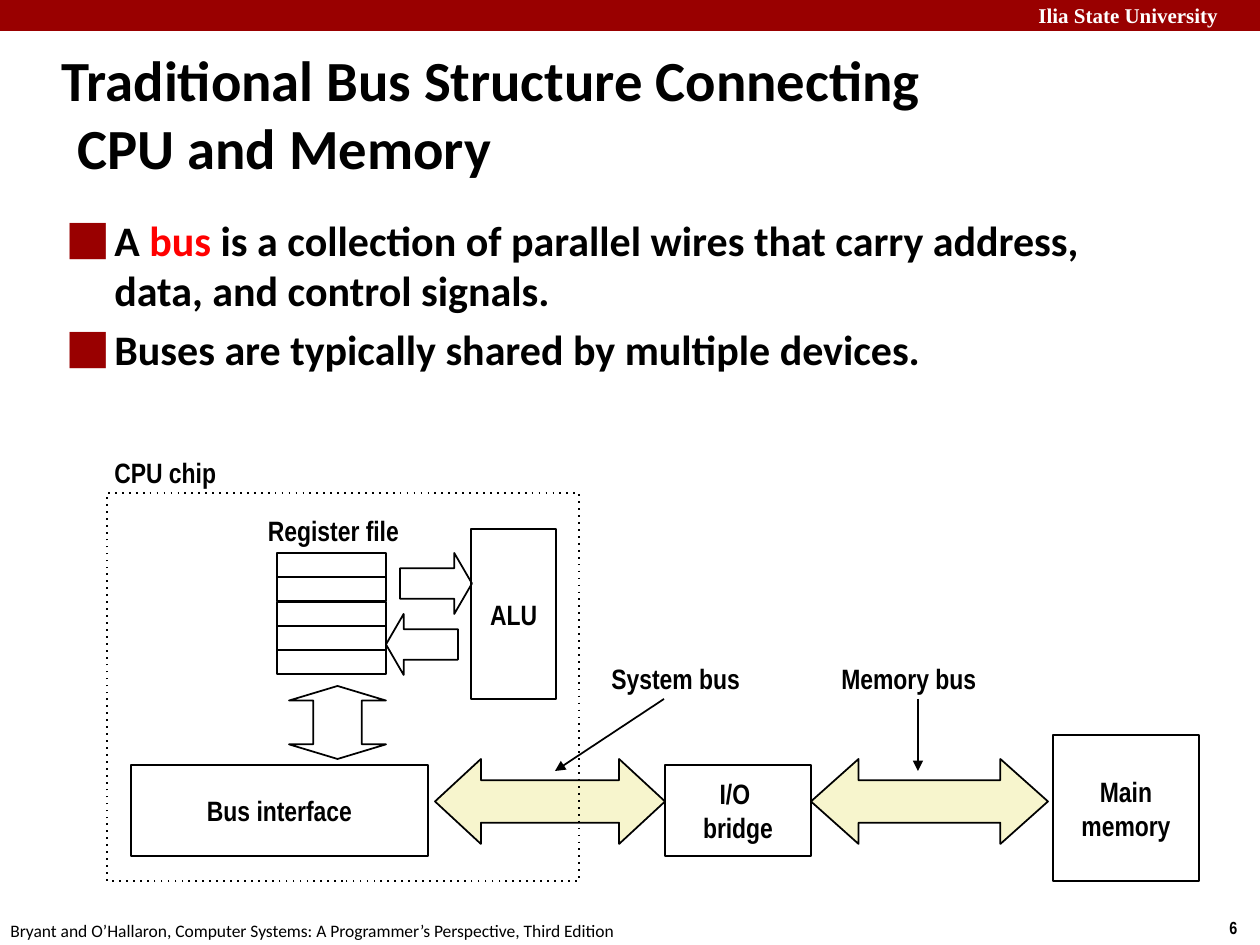
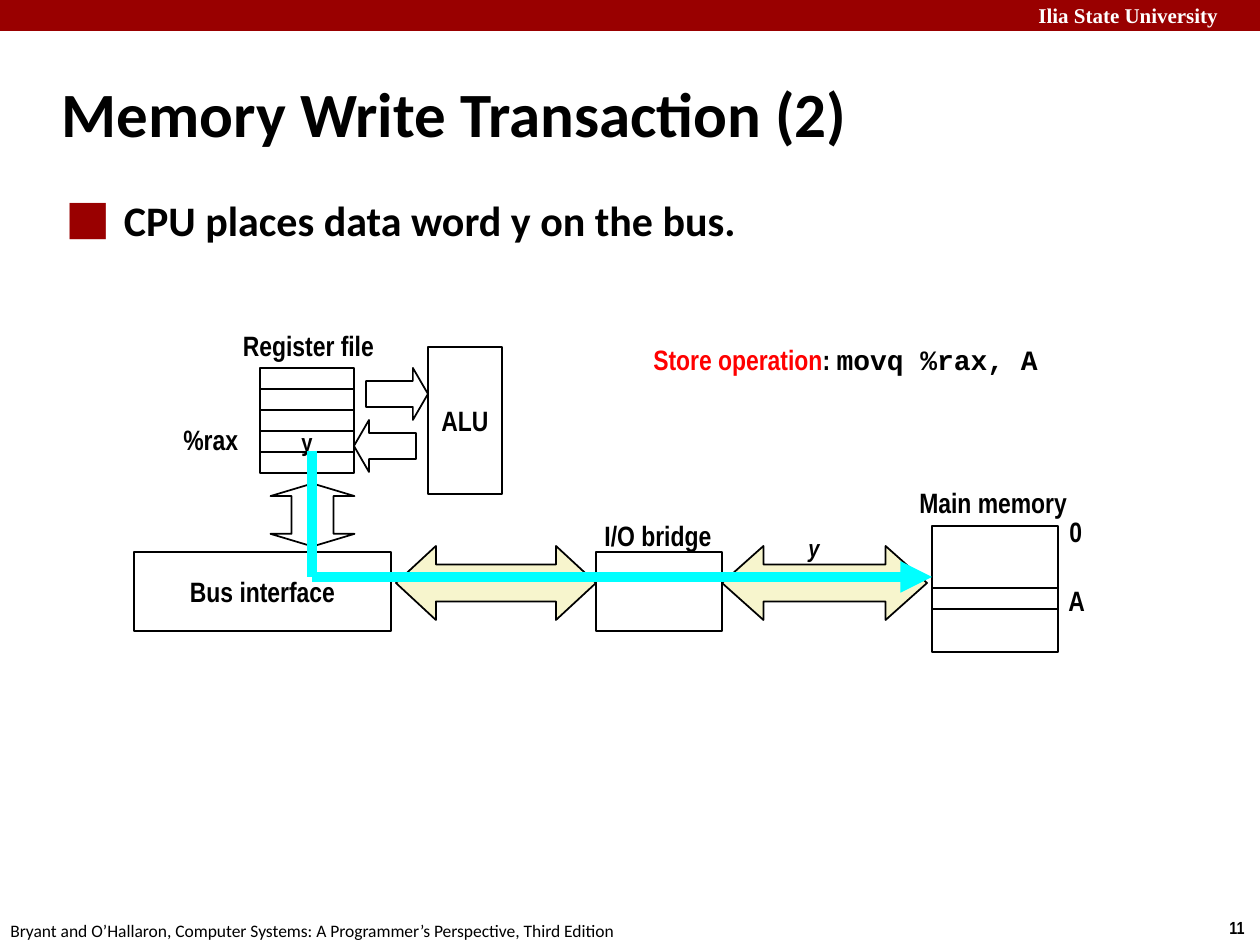
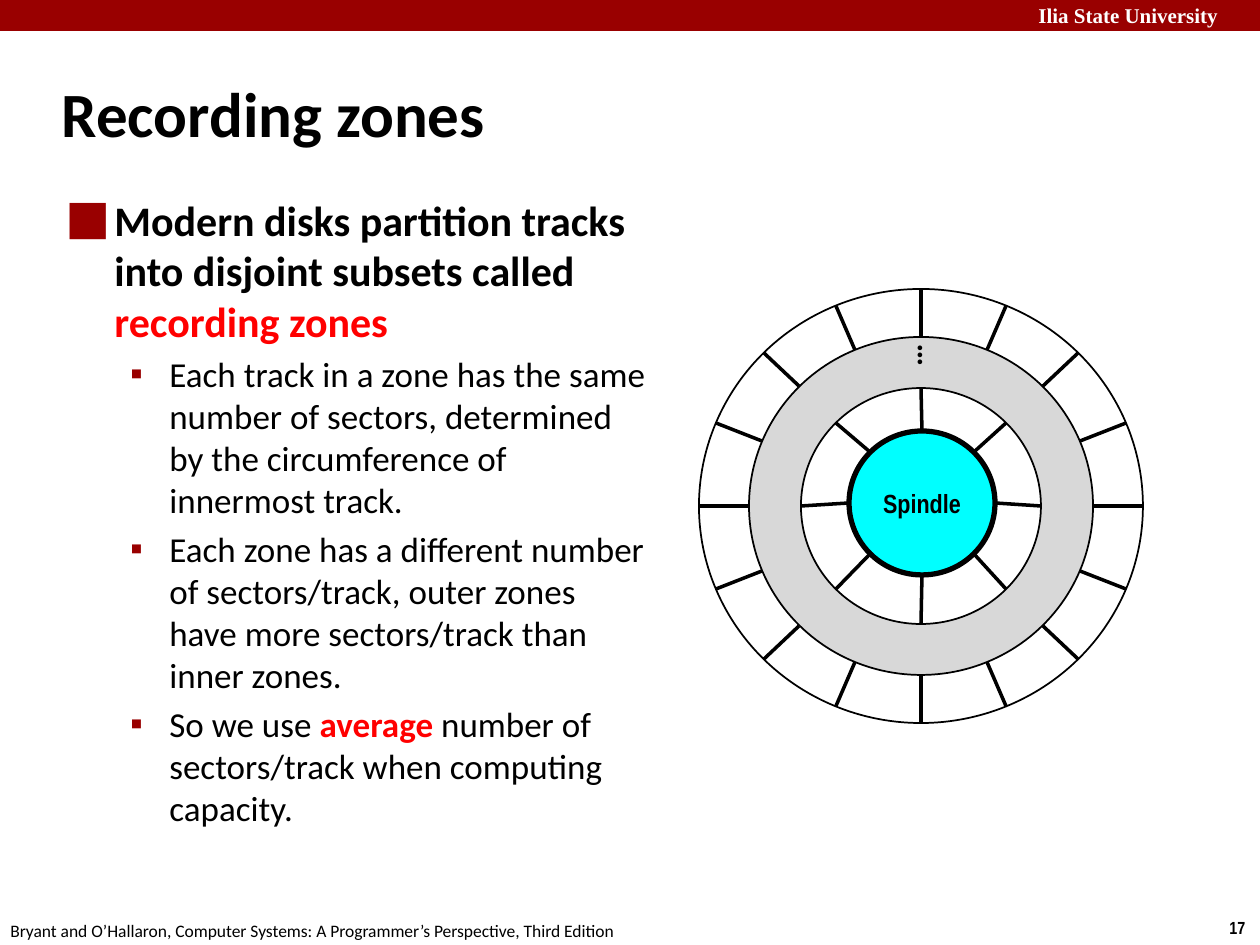
from math import cos, pi, sin

from lxml.etree import SubElement
from pptx import Presentation
from pptx.dml.color import RGBColor
from pptx.enum.shapes import MSO_CONNECTOR, MSO_SHAPE
from pptx.enum.text import MSO_ANCHOR, PP_ALIGN
from pptx.oxml.ns import qn
from pptx.util import Emu, Pt

# Shared style
PX = 914400 / 126
BLACK, WHITE, RED = "000000", "FFFFFF", "FF0000"
MAROON, CREAM, CYAN, GREY = "990000", "F7F5CD", "00FFFF", "D8D8D8"
BODY_FACE, LABEL_FACE, CODE_FACE = "Calibri", "Arial Narrow", "Courier New"
BAND_FACE = "Times New Roman"
BAND_TEXT = "Ilia State University"
FOOTER = ("Bryant and O’Hallaron, Computer Systems: "
          "A Programmer’s Perspective, Third Edition")
# Bullet levels: left margin, hanging indent, size, bold, character
LEVELS = [(47, 47, 24, True, "⬛"), (102, 39, 20, False, "▪")]


def px(value):
    return Emu(round(value * PX))


def rgb(value):
    return RGBColor.from_string(value)


class SlideWriter:
    """Holds the deck's style and the page being drawn."""

    def __init__(self):
        self.deck = Presentation()
        self.deck.slide_width, self.deck.slide_height = px(1260), px(945)
        self.page = None

    def font(self, span, size=16, face=LABEL_FACE, color=BLACK, bold=True, italic=False):
        span.font.size, span.font.name = Pt(size), face
        span.font.bold, span.font.italic = bold, italic
        span.font.color.rgb = rgb(color)

    def fill_text(self, frame, text, align=PP_ALIGN.CENTER, wrap=False,
                  anchor=MSO_ANCHOR.MIDDLE, **style):
        frame.text = text
        frame.word_wrap, frame.vertical_anchor = wrap, anchor
        for para in frame.paragraphs:
            para.alignment = align
            for span in para.runs:
                self.font(span, **style)

    def indent(self, para, margin, hanging):
        properties = para._p.get_or_add_pPr()
        properties.set("marL", str(px(margin)))
        properties.set("indent", str(-px(hanging)))
        return properties

    def new_page(self, title, number, size=36):
        self.page = self.deck.slides.add_slide(self.deck.slide_layouts[5])
        # Band and footer
        band = self.shape(MSO_SHAPE.RECTANGLE, 0, 0, 1260, 31, MAROON)
        band.line.fill.background()
        top = MSO_ANCHOR.TOP
        self.label(BAND_TEXT, 1026, -4, 243, 38, anchor=top,
                   size=12, face=BAND_FACE, color=WHITE)
        self.label(str(number), 1217, 911, 43, 34, anchor=top, size=10)
        self.label(FOOTER, -2, 914, 640, 34, anchor=top,
                   size=10, face=BODY_FACE, bold=False)
        # Title
        box = self.page.shapes.title
        box.left, box.top, box.width, box.height = map(px, (49, 60, 1211, 105))
        self.fill_text(box.text_frame, title, PP_ALIGN.LEFT, True,
                       size=size, face=BODY_FACE)
        self.indent(box.text_frame.paragraphs[0], 16, 16)

    def shape(self, kind, left, top, width, height, fill=None, weight=1, text="",
              adjust=(), **style):
        box = self.page.shapes.add_shape(kind, *map(px, (left, top, width, height)))
        box.shadow.inherit = False
        if fill:
            box.fill.solid()
            box.fill.fore_color.rgb = rgb(fill)
        else:
            box.fill.background()
        box.line.color.rgb, box.line.width = rgb(BLACK), Pt(weight)
        for index, value in enumerate(adjust):
            box.adjustments[index] = value
        if text:
            self.fill_text(box.text_frame, text, **style)
        return box

    def ellipse(self, ring, fill=None, **options):
        x, y, across, down = ring
        return self.shape(MSO_SHAPE.OVAL, x - across, y - down,
                          2 * across, 2 * down, fill, **options)

    def label(self, text, left, top, width, height=47, align=PP_ALIGN.LEFT, **style):
        box = self.page.shapes.add_textbox(*map(px, (left, top, width, height)))
        self.fill_text(box.text_frame, text, align, **style)
        return box

    def line(self, x1, y1, x2, y2, color=BLACK, weight=1, arrow=False):
        connector = self.page.shapes.add_connector(
            MSO_CONNECTOR.STRAIGHT, *map(px, (x1, y1, x2, y2)))
        connector.line.color.rgb = rgb(color)
        connector.line.width = Pt(weight)
        properties = connector.element.spPr
        if arrow:
            SubElement(properties.find(qn("a:ln")), qn("a:tailEnd"), type="triangle")
        SubElement(properties, qn("a:effectLst"))

    def bullets(self, items, top, width=1089):
        """Items are (level, text); text between asterisks is emphasised."""
        box = self.page.shapes.add_textbox(*map(px, (55, top, width, 685)))
        frame = box.text_frame
        frame.word_wrap = True
        for index, (level, text) in enumerate(items):
            para = frame.add_paragraph() if index else frame.paragraphs[0]
            margin, hanging, size, bold, mark = LEVELS[level]
            para.level = level
            para.space_before = Pt(size / 5 if index else 0)
            properties = self.indent(para, margin, hanging)
            color = SubElement(properties, qn("a:buClr"))
            SubElement(color, qn("a:srgbClr"), val=MAROON)
            SubElement(properties, qn("a:buFont"), typeface=BODY_FACE)
            SubElement(properties, qn("a:buChar"), char=mark)
            for part, words in enumerate(text.split("*")):
                span = para.add_run()
                span.text = words
                strong = part % 2 == 1
                self.font(span, size, BODY_FACE, RED if strong else BLACK, bold or strong)

    def bus_system(self, left, top, unit, bridge="", memory="", register=""):
        """Draw CPU, bridge and memory on a grid that starts at the register file."""
        def place(kind, x, y, width, height, fill=None, **options):
            return self.shape(kind, round(left + x * unit), round(top + y * unit),
                              round(width * unit), round(height * unit), fill, **options)

        box, two_way = MSO_SHAPE.RECTANGLE, MSO_SHAPE.LEFT_RIGHT_ARROW
        # Memory, bridge and the buses
        place(box, 64, 15, 12, 12, text=memory)
        place(two_way, 44, 17, 19.5, 7, CREAM, adjust=(0.5, 0.56))
        place(box, 32, 17.5, 12, 7.5, text=bridge)
        place(two_way, 13, 17, 19, 7, CREAM, adjust=(0.5, 0.54))
        # Register file
        for row in range(5):
            place(box, 0, 2 * row, 9, 2, text=register if row == 3 else "", size=14)
        self.label("Register file", round(left + 4.5 * unit) - 78, top - 46, 159,
                   align=PP_ALIGN.CENTER)
        # ALU and the bus interface
        place(MSO_SHAPE.RIGHT_ARROW, 10.1, 0, 5.9, 5, adjust=(0.5, 0.29))
        place(MSO_SHAPE.LEFT_ARROW, 9, 5, 5.9, 5, adjust=(0.5, 0.29))
        place(box, 16, -2, 7, 14, text="ALU")
        upright = place(two_way, 2, 10, 6, 8, adjust=(0.5, 0.2))
        upright.rotation = 90
        place(box, -12, 17.5, 24.5, 7.5, WHITE, text="Bus interface")

    def ticks(self, outer, inner, count):
        """Draw evenly spaced sector borders between two rings."""
        for step in range(count):
            angle = 2 * pi * step / count
            ends = [(round(x + across * cos(angle)), round(y + down * sin(angle)))
                    for x, y, across, down in (outer, inner)]
            self.line(*ends[0], *ends[1], weight=2)


def bus_structure(writer):
    writer.new_page("Traditional Bus Structure Connecting \vCPU and Memory", 6, 32.4)
    writer.bullets([
        (0, "A *bus* is a collection of parallel wires that carry address, "
            "data, and control signals."),
        (0, "Buses are typically shared by multiple devices."),
    ], 208)
    writer.bus_system(277, 553, 12.13, "I/O \nbridge", "Main\nmemory")
    # CPU chip outline
    chip = writer.shape(MSO_SHAPE.RECTANGLE, 107, 493, 472, 388)
    SubElement(chip.element.spPr.find(qn("a:ln")), qn("a:prstDash"), val="dot")
    writer.label("CPU chip", 102, 449, 150)
    # Bus names
    writer.label("System bus", 599, 655, 155)
    writer.line(664, 699, 555, 771, arrow=True)
    writer.label("Memory bus", 829, 655, 162)
    writer.line(918, 699, 918, 771, arrow=True)


def memory_write(writer):
    writer.new_page("Memory Write Transaction (2)", 11)
    writer.bullets([(0, " CPU places data word y on the bus.")], 188)
    writer.bus_system(260, 368, 10.5, register="y")
    # Path of the data word
    writer.label("y", 796, 527, 39, 42, size=14, italic=True)
    writer.line(312, 451, 312, 577, CYAN, 6)
    writer.line(312, 577, 932, 577, CYAN, 6, arrow=True)
    writer.shape(MSO_SHAPE.RECTANGLE, 932, 588, 126, 21)
    # Names and addresses
    for text, left, top, width in [("Main memory", 907, 479, 175), ("0", 1057, 508, 40),
                                   ("A", 1056, 577, 45), ("%rax", 171, 416, 81),
                                   ("I/O bridge", 592, 512, 134)]:
        writer.label(text, left, top, width)
    # Instruction
    box = writer.label("Store operation", 641, 336, 416, 81,
                       anchor=MSO_ANCHOR.TOP, color=RED)
    for text, face in [(": ", LABEL_FACE), ("movq %rax, A", CODE_FACE)]:
        span = box.text_frame.paragraphs[0].add_run()
        span.text = text
        writer.font(span, face=face)


def recording_zones(writer):
    writer.new_page("Recording zones", 17)
    writer.bullets([
        (0, "Modern disks partition tracks into disjoint subsets called *recording zones*"),
        (1, "Each track in a zone has the same number of sectors, determined "
            "by the circumference of innermost track."),
        (1, "Each zone has a different number of sectors/track, outer zones "
            "have more sectors/track than inner zones."),
        (1, "So we use *average* number of sectors/track when computing capacity."),
    ], 188, 606)
    # Rings: centre and radii
    rim, middle = (921, 506, 222, 217), (921, 506, 172, 169)
    inside, spindle = (921, 506, 120, 118), (922, 503, 73, 72)
    writer.ellipse(middle, GREY)
    writer.ellipse(inside, WHITE)
    writer.ellipse(rim)
    writer.ellipse(spindle, CYAN, weight=3, text="Spindle", size=15)
    # Sectors
    writer.ticks(inside, spindle, 8)
    writer.ticks(rim, middle, 16)
    dots = writer.label("…", 892, 336, 35, 50, wrap=True, anchor=MSO_ANCHOR.TOP,
                        size=18, face=BODY_FACE)
    dots.rotation = 270


def main():
    writer = SlideWriter()
    bus_structure(writer)
    memory_write(writer)
    recording_zones(writer)
    writer.deck.save("out.pptx")


if __name__ == "__main__":
    main()
